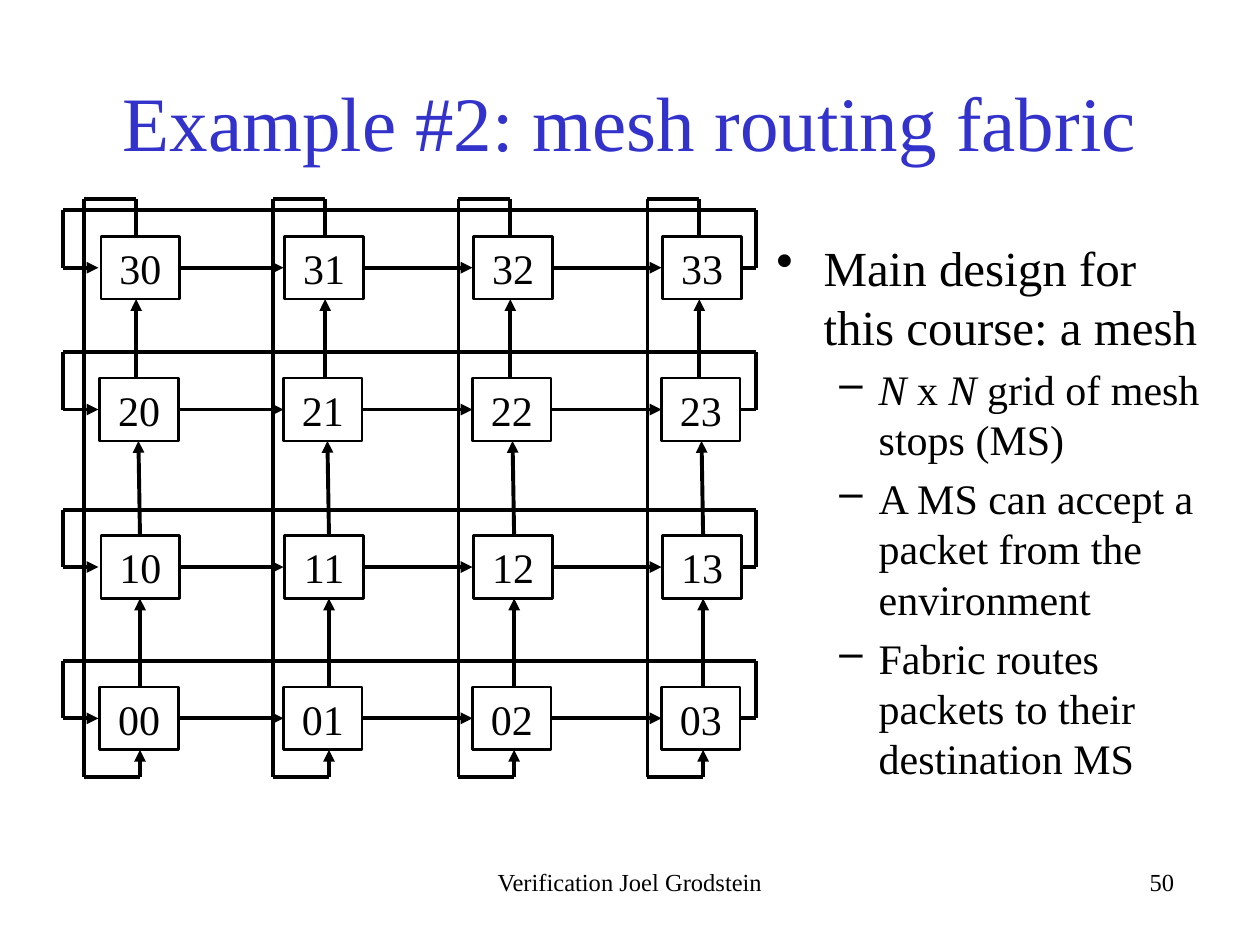
import pptx
import pptx.util
import pptx.dml.color
import pptx.enum.shapes
import pptx.enum.text
import pptx.oxml.ns
from lxml import etree

Pt = pptx.util.Pt
ALIGN = pptx.enum.text.PP_ALIGN
ANCHOR = pptx.enum.text.MSO_ANCHOR
BLACK = pptx.dml.color.RGBColor(0x00, 0x00, 0x00)
WHITE = pptx.dml.color.RGBColor(0xFF, 0xFF, 0xFF)
TITLE_BLUE = pptx.dml.color.RGBColor(0x33, 0x33, 0xCC)

STOP_WIDTH, STOP_HEIGHT = 45, 36
COLUMN_LEFTS = [57, 162, 270, 378]
ROW_TOPS = [392.5, 306, 216, 135]
ROW_SHIFTS = [0, 0.7, 0, 0.7]
COLUMN_LINKS = [77.8, 185.8, 291.6, 399.6]
LINK_SHIFTS = [2.2, 2.2, 0, 0]
ROW_LOOP_LEFT, ROW_LOOP_RIGHT, ROW_LOOP_RISE = 36, 432, 32.8
COLUMN_LOOP_TOP, COLUMN_LOOP_BOTTOM, COLUMN_LOOP_OFFSET = 113.8, 444, 29.6

POINTS = [
    (0, [("Main design for this course: a mesh", False)]),
    (1, [("N", True), (" x ", False), ("N", True), (" grid of mesh stops (MS)", False)]),
    (1, [("A MS can accept a packet from the environment", False)]),
    (1, [("Fabric routes packets to their destination MS", False)]),
]
POINT_STYLES = [("•", 28, 27, 27), ("–", 24, 58.5, 22.5)]


class MeshSlide:
    font_name = "Times New Roman"
    link_width = 2.25
    stop_border = 1.5

    def __init__(self, deck):
        self.slide = deck.slides.add_slide(deck.slide_layouts[5])

    def format(self, paragraph, size, color=BLACK, align=ALIGN.LEFT):
        paragraph.alignment = align
        for run in paragraph.runs:
            run.font.name = self.font_name
            run.font.size = Pt(size)
            run.font.color.rgb = color

    def title(self, wording, left, top, width, height):
        heading = self.slide.shapes.title
        heading.left, heading.top = Pt(left), Pt(top)
        heading.width, heading.height = Pt(width), Pt(height)
        heading.text_frame.text = wording
        heading.text_frame.vertical_anchor = ANCHOR.MIDDLE
        self.format(heading.text_frame.paragraphs[0], 44, TITLE_BLUE, ALIGN.CENTER)

    def text_area(self, left, top, width, height):
        area = self.slide.shapes.add_textbox(Pt(left), Pt(top), Pt(width), Pt(height))
        area.text_frame.word_wrap = True
        return area.text_frame

    def footer(self, wording, left, align):
        frame = self.text_area(left, 492, 228, 36)
        frame.text = wording
        self.format(frame.paragraphs[0], 14, align=align)

    def bullets(self, points, left, top, width, height):
        frame = self.text_area(left, top, width, height)
        for index, (level, pieces) in enumerate(points):
            paragraph = frame.add_paragraph() if index else frame.paragraphs[0]
            for wording, italic in pieces:
                run = paragraph.add_run()
                run.text = wording
                run.font.italic = italic
            mark, size, margin, hanging = POINT_STYLES[level]
            paragraph.level = level
            paragraph.space_before = Pt(size * 0.2)
            self.format(paragraph, size)
            properties = paragraph._p.get_or_add_pPr()
            properties.set("marL", str(Pt(margin)))
            properties.set("indent", str(-Pt(hanging)))
            bullet = etree.SubElement(properties, pptx.oxml.ns.qn("a:buChar"))
            bullet.set("char", mark)

    def link(self, *stations, arrow=False):
        for start, end in zip(stations, stations[1:]):
            segment = self.slide.shapes.add_connector(
                pptx.enum.shapes.MSO_CONNECTOR.STRAIGHT, *map(Pt, start + end))
            segment.line.color.rgb = BLACK
            segment.line.width = Pt(self.link_width)
            etree.SubElement(segment._element.spPr, pptx.oxml.ns.qn("a:effectLst"))
            if arrow and end == stations[-1]:
                head = etree.SubElement(segment.line._get_or_add_ln(),
                                        pptx.oxml.ns.qn("a:tailEnd"))
                head.set("type", "triangle")

    def mesh_stop(self, label, left, top):
        stop = self.slide.shapes.add_shape(
            pptx.enum.shapes.MSO_SHAPE.RECTANGLE,
            Pt(left), Pt(top), Pt(STOP_WIDTH), Pt(STOP_HEIGHT))
        stop.shadow.inherit = False
        stop.fill.solid()
        stop.fill.fore_color.rgb = WHITE
        stop.line.color.rgb = BLACK
        stop.line.width = Pt(self.stop_border)
        stop.text_frame.text = label
        stop.text_frame.vertical_anchor = ANCHOR.TOP
        self.format(stop.text_frame.paragraphs[0], 24, align=ALIGN.CENTER)


def draw_row_links(page):
    for top in ROW_TOPS:
        middle = top + STOP_HEIGHT / 2
        loop = middle - ROW_LOOP_RISE
        for left, following in zip(COLUMN_LEFTS, COLUMN_LEFTS[1:]):
            page.link((left + STOP_WIDTH, middle), (following, middle), arrow=True)
        page.link((COLUMN_LEFTS[-1] + STOP_WIDTH - 6, middle), (ROW_LOOP_RIGHT, middle),
                  (ROW_LOOP_RIGHT, loop), (ROW_LOOP_LEFT, loop),
                  (ROW_LOOP_LEFT, middle), (COLUMN_LEFTS[0] - 0.8, middle), arrow=True)


def draw_column_links(page):
    for x in COLUMN_LINKS:
        for row, target in enumerate(ROW_TOPS[1:]):
            start_x = x + LINK_SHIFTS[row]
            end_x = start_x - 0.9 if row == 1 else start_x
            page.link((start_x, ROW_TOPS[row]), (end_x, target + STOP_HEIGHT), arrow=True)
        loop = x - COLUMN_LOOP_OFFSET
        entry = x + LINK_SHIFTS[0]
        page.link((x, ROW_TOPS[-1] + STOP_HEIGHT / 4), (x, COLUMN_LOOP_TOP),
                  (loop, COLUMN_LOOP_TOP), (loop, COLUMN_LOOP_BOTTOM),
                  (entry, COLUMN_LOOP_BOTTOM), (entry, ROW_TOPS[0] + STOP_HEIGHT),
                  arrow=True)


def main():
    deck = pptx.Presentation()
    deck.slide_width, deck.slide_height = Pt(720), Pt(540)
    page = MeshSlide(deck)
    page.title("Example #2: mesh routing fabric", 54, 24, 612, 90)
    page.footer("50", 450, ALIGN.RIGHT)
    page.footer("Verification Joel Grodstein", 246, ALIGN.CENTER)
    draw_row_links(page)
    draw_column_links(page)
    page.bullets(POINTS, 436.5, 132, 264, 336)
    for row, (top, shift) in enumerate(zip(ROW_TOPS, ROW_SHIFTS)):
        for column, left in enumerate(COLUMN_LEFTS):
            page.mesh_stop(f"{row}{column}", left + shift, top)
    deck.save("out.pptx")


if __name__ == "__main__":
    main()
